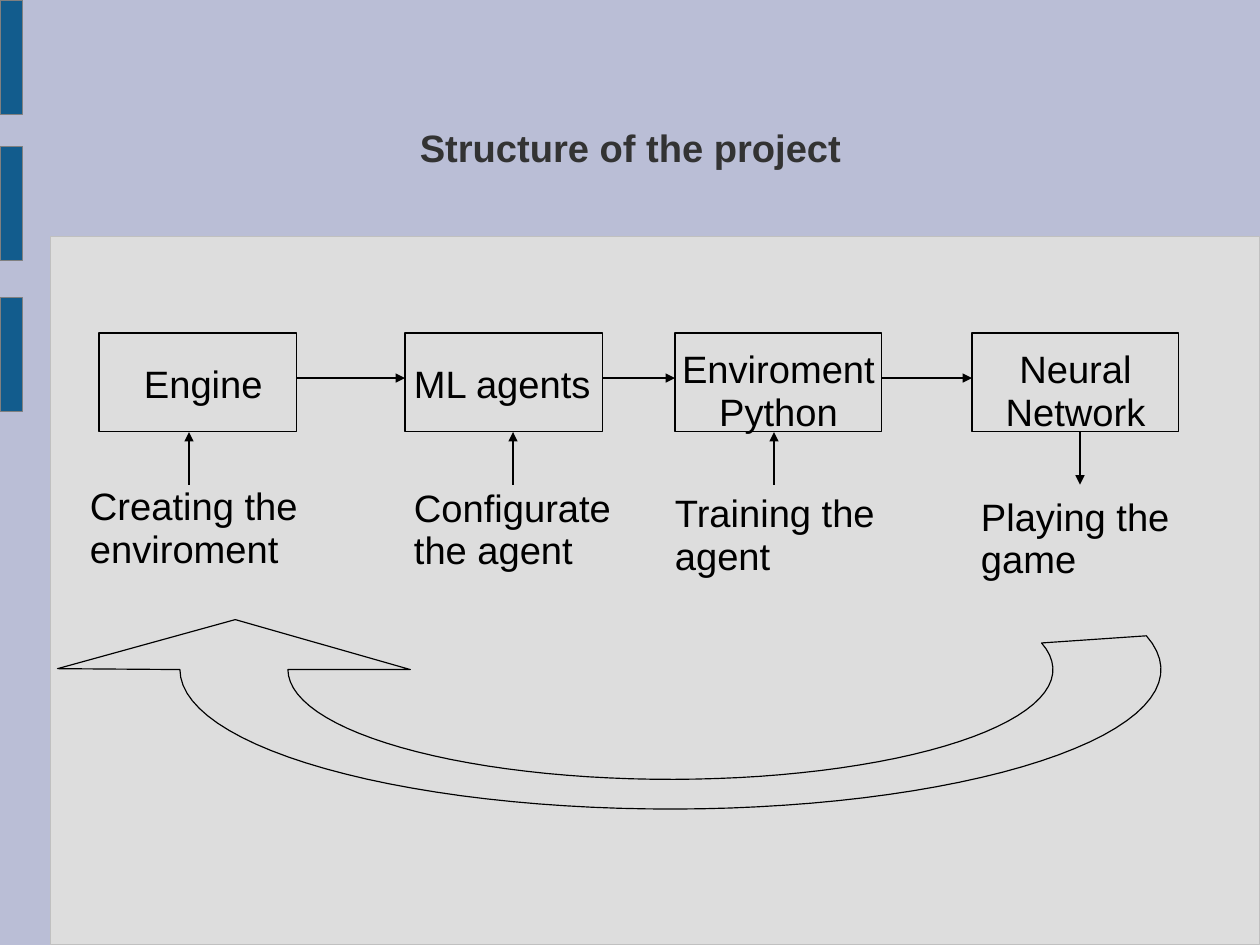
from math import cos, radians, sin

from lxml.etree import SubElement
from pptx import Presentation
from pptx.dml.color import RGBColor
from pptx.enum.shapes import MSO_CONNECTOR as CONN, MSO_SHAPE as SHAPE
from pptx.enum.text import MSO_ANCHOR as ANCHOR, MSO_AUTO_SIZE as AUTOSIZE, PP_ALIGN as ALIGN
from pptx.oxml.ns import qn
from pptx.util import Cm, Pt


def paint(sp, fill, line, width=0.75):
    """Set fill (None for hollow) and outline, without shadow."""
    sp.shadow.inherit = False
    if fill:
        sp.fill.solid()
        sp.fill.fore_color.rgb = RGBColor.from_string(fill)
    else:
        sp.fill.background()
    sp.line.color.rgb = RGBColor.from_string(line)
    sp.line.width = Pt(width)


def write(sp, text, align=ALIGN.LEFT, anchor=ANCHOR.TOP, color="000000", bold=False):
    tf = sp.text_frame
    tf.text = text
    frame = {"word_wrap": True, "auto_size": AUTOSIZE.NONE, "vertical_anchor": anchor,
             "margin_left": 0, "margin_right": 0, "margin_top": Cm(0.05), "margin_bottom": 0}
    for name, value in frame.items():
        setattr(tf, name, value)
    for p in tf.paragraphs:
        p.alignment = align
        p.line_spacing = 0.93
        for name, value in {"name": "Arial", "size": Pt(24), "bold": bold}.items():
            setattr(p.font, name, value)
        p.font.color.rgb = RGBColor.from_string(color)


prs = Presentation()
prs.slide_width, prs.slide_height = Cm(28), Cm(21)
s = prs.slides.add_slide(prs.slide_layouts[5])
s.background.fill.solid()
s.background.fill.fore_color.rgb = RGBColor.from_string("BABED6")

# Backdrop
panel = s.shapes.add_shape(SHAPE.RECTANGLE, Cm(1.12), Cm(5.26), Cm(26.88), Cm(15.74))
paint(panel, "DDDDDD", "C0C0C0")
for top in (0, 3.25, 6.61):
    bar = s.shapes.add_shape(SHAPE.RECTANGLE, 0, Cm(top), Cm(0.5), Cm(2.54))
    paint(bar, "125C8D", "808080")

title = s.shapes.title
title.left, title.top, title.width, title.height = Cm(2.06), Cm(1.55), Cm(23.9), Cm(3.5)
write(title, "Structure of the project", ALIGN.CENTER, ANCHOR.MIDDLE, "333333", True)

# Steps: box left and width, then label left, top, width, alignment and text
BOX_TOP, BOX_BOTTOM, FLOW_Y, CAPTION_Y = 7.4, 9.6, 8.4, 10.77
steps = [
    (2.2, 4.4, 3.2, 8.05, 2.8, ALIGN.LEFT, "Engine"),
    (9, 4.4, 9.2, 8.05, 4, ALIGN.LEFT, "ML agents"),
    (15, 4.6, 15, 7.72, 4.6, ALIGN.CENTER, "Enviroment\nPython"),
    (21.6, 4.6, 21.6, 7.72, 4.6, ALIGN.CENTER, "Neural Network"),
]
for left, width, label_left, label_top, label_width, align, text in steps:
    box = s.shapes.add_shape(SHAPE.RECTANGLE, Cm(left), Cm(BOX_TOP),
                             Cm(width), Cm(BOX_BOTTOM - BOX_TOP))
    paint(box, None, "000000")
    label = s.shapes.add_textbox(Cm(label_left), Cm(label_top),
                                 Cm(label_width), Cm(BOX_BOTTOM - label_top))
    write(label, text, align)

captions = [
    (2, 10.77, 4.8, "Creating the enviroment"),
    (9.2, 10.8, 4.4, "Configurate the agent"),
    (15, 10.92, 5, "Training the agent"),
    (21.8, 11, 4.6, "Playing the game"),
]
for left, top, width, text in captions:
    write(s.shapes.add_textbox(Cm(left), Cm(top), Cm(width), Cm(1.88)), text)

# Arrows between the boxes, into them from the captions, and out of the last one
arrows = [(a[0] + a[1], FLOW_Y, b[0], FLOW_Y) for a, b in zip(steps, steps[1:])]
arrows += [(x, CAPTION_Y, x, BOX_BOTTOM) for x in (4.2, 11.4, 17.2)]
arrows.append((24, BOX_BOTTOM, 24, CAPTION_Y))
for ends in arrows:
    arrow = s.shapes.add_connector(CONN.STRAIGHT, *map(Cm, ends))
    arrow.line.color.rgb = RGBColor.from_string("000000")
    arrow.line.width = Pt(0.75)
    SubElement(arrow.line._get_or_add_ln(), qn("a:tailEnd"), type="triangle")
    SubElement(arrow._element.spPr, qn("a:effectLst"))

# Return arrow: two concentric elliptical arcs closed by an arrowhead
CENTER_X, CENTER_Y = 14.9, 14.88
angles = [radians(-14 + 194 * i / 60) for i in range(61)]
outer, inner = [[(CENTER_X + rx * cos(a), CENTER_Y + ry * sin(a)) for a in angles]
                for rx, ry in ((10.9, 3.1), (8.5, 2.44))]
head = [(1.28, 14.86), (5.23, 13.77), (9.12, 14.88)]
points = [(Cm(x), Cm(y)) for x, y in outer + head + inner[::-1]]
builder = s.shapes.build_freeform(*points[0])
builder.add_line_segments(points[1:], close=True)
paint(builder.convert_to_shape(), None, "000000", 0)

prs.save("out.pptx")
